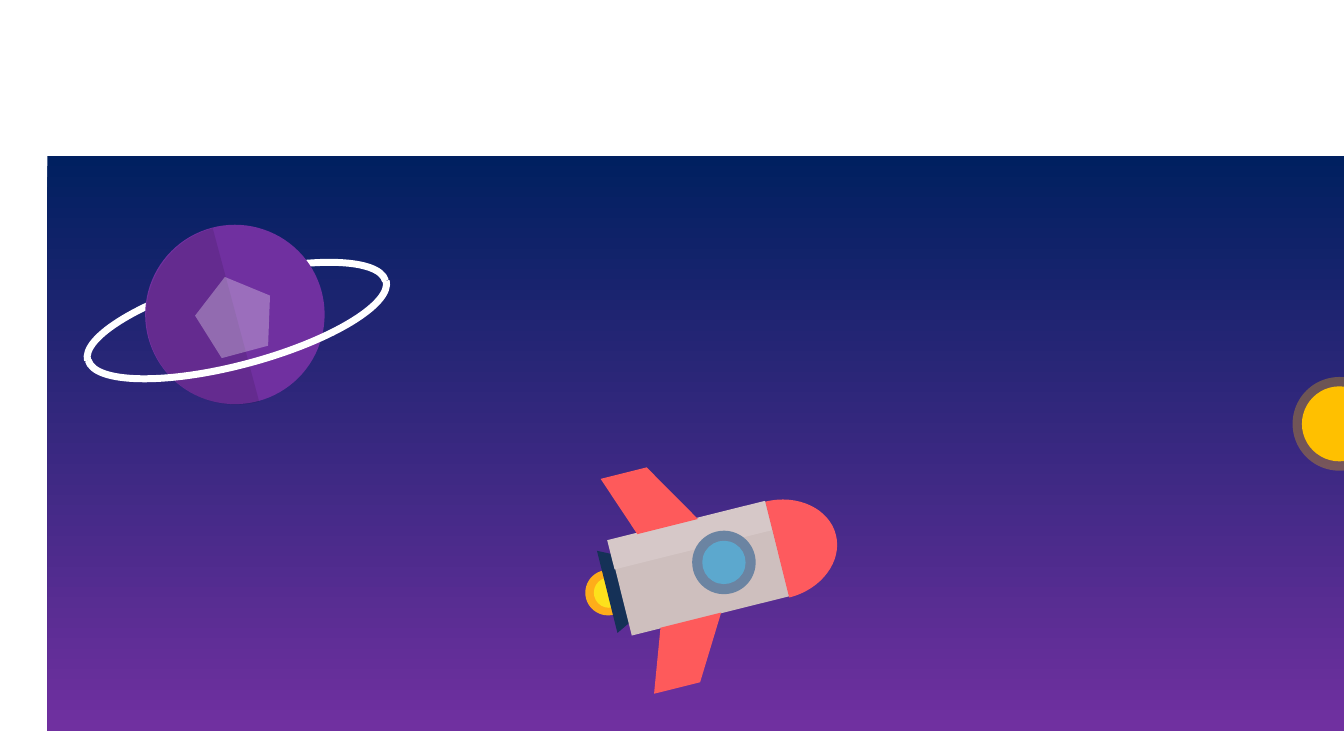
from math import cos, sin, radians
from pptx import Presentation
from pptx import util as u
from pptx.dml.color import RGBColor
from pptx.enum import shapes
from pptx.oxml.ns import qn
from lxml import etree

C = {"night": "002060", "purple": "7030A0", "black": "000000", "white": "FFFFFF",
     "flame": "FEAD1A", "core": "FDE11C", "nozzle": "153157", "body": "CEBFBE",
     "light": "D6C8C8", "fin": "FE5A5B", "nose": "FE5A5E", "frame": "6B84A2",
     "glass": "5CA8CE", "sun": "FFC000"}
G = shapes.MSO_SHAPE
KAPPA = 0.55


def paint(sp, color, alpha=None):
    sp.shadow.inherit = False
    sp.line.fill.background()
    sp.fill.solid()
    sp.fill.fore_color.rgb = RGBColor.from_string(C[color])
    if alpha:
        clr = sp.fill._xPr.find(qn("a:solidFill"))[0]
        etree.SubElement(clr, qn("a:alpha")).set("val", str(alpha * 1000))


def preset(grp, kind, cx, cy, w, h, color, rot=0, alpha=None):
    sp = grp.shapes.add_shape(kind, u.Inches(cx - w / 2), u.Inches(cy - h / 2),
                              u.Inches(w), u.Inches(h))
    sp.rotation = rot
    paint(sp, color, alpha)


def disc(grp, cx, cy, d, color, rot=0, alpha=None):
    preset(grp, G.OVAL, cx, cy, d, d, color, rot, alpha)


def outline(grp, pts, rot, close=True):
    pts = [(u.Inches(x), u.Inches(y)) for x, y in pts]
    fb = grp.shapes.build_freeform(*pts[0])
    fb.add_line_segments(pts[1:], close=close)
    sp = fb.convert_to_shape()
    sp.rotation = rot
    return sp


def half_oval(grp, cx, cy, rx, ry, start, rot):
    px, py = cos(radians(start)), sin(radians(start))
    tx, ty = -py, px
    weights = ((1, 0), (1, KAPPA), (KAPPA, 1), (0, 1), (-KAPPA, 1), (-1, KAPPA), (-1, 0))
    pts = [(cx + rx * (a * px + (b - 0.5) * tx), cy + ry * (a * py + (b - 0.5) * ty))
           for a, b in weights]
    sp = outline(grp, pts, rot, close=False)
    track = sp._element.find(".//" + qn("a:path"))
    lines = track.findall(qn("a:lnTo"))
    for i in (0, 3):
        curve = etree.SubElement(track, qn("a:cubicBezTo"))
        for ln in lines[i:i + 3]:
            curve.append(ln[0])
            track.remove(ln)
    return sp


def sky(s, x, y, w, h):
    sp = s.shapes.add_shape(G.RECTANGLE, *map(u.Inches, (x, y, w, h)))
    sp.shadow.inherit = False
    sp.line.fill.background()
    sp.fill.gradient()
    sp.fill.gradient_angle = 270
    for stop, color in zip(sp.fill.gradient_stops, ("night", "purple")):
        stop.color.rgb = RGBColor.from_string(C[color])


def planet(s, x, y):
    grp = s.shapes.add_group_shape()
    tilt, cx, cy, d = 345, x + 1.48, y + 0.92, 1.78

    def ring(dx, dy, start):
        sp = half_oval(grp, x + dx, y + dy, 1.53, 0.44, start, tilt)
        sp.shadow.inherit = False
        sp.fill.background()
        sp.line.color.rgb = RGBColor.from_string(C["white"])
        sp.line.width = u.Pt(5)

    ring(1.44, 0.77, 180)
    disc(grp, cx, cy, d, "purple", 330)
    paint(half_oval(grp, x + 1.06, y + 1.04, d / 2, d / 2, 90, tilt), "black", 10)
    preset(grp, G.REGULAR_PENTAGON, cx, cy, 0.77, 0.77, "white", tilt, 30)
    ring(1.56, 1.19, 0)


def rocket(s, x, y):
    grp = s.shapes.add_group_shape()
    rot = 76
    disc(grp, x + 0.23, y + 1.28, 0.45, "flame", 61)
    disc(grp, x + 0.24, y + 1.28, 0.3, "core", 61)
    for kind, dx, dy, w, h, color in (
            (G.ISOSCELES_TRIANGLE, 0.63, 1.17, 0.84, 0.84, "nozzle"),
            (G.RECTANGLE, 1.13, 1.04, 0.97, 1.61, "body"),
            (G.RECTANGLE, 1.04, 0.71, 0.3, 1.61, "light")):
        preset(grp, kind, x + dx, y + dy, w, h, color, rot)
    for dx, dy, side in ((0.64, 0.35, 1), (1.02, 1.88, -1)):
        fin = [(x + dx + side * px, y + dy + py) for px, py in
               ((0.31, -0.42), (-0.31, -0.05), (-0.31, 0.42), (0.31, 0.2))]
        paint(outline(grp, fin, rot), "fin")
    paint(half_oval(grp, x + 2.2, y + 0.78, 0.49, 0.6, 180, rot), "nose")
    for d, color in ((0.63, "frame"), (0.43, "glass")):
        disc(grp, x + 1.38, y + 0.98, d, color, rot)


def sun(s, x, y, d):
    grp = s.shapes.add_group_shape()
    cx, cy = x + d / 2, y + d / 2
    disc(grp, cx, cy, d, "sun", alpha=30)
    disc(grp, cx, cy, d * 0.8, "sun")


prs = Presentation()
prs.slide_width, prs.slide_height = u.Inches(13.33), u.Inches(7.5)
s = prs.slides.add_slide(prs.slide_layouts[6])
sky(s, 0.47, 1.55, 18.55, 5.7)
planet(s, 0.85, 2.2)
rocket(s, 5.8, 4.6)
sun(s, 12.82, 3.74, 0.93)
prs.save("out.pptx")
